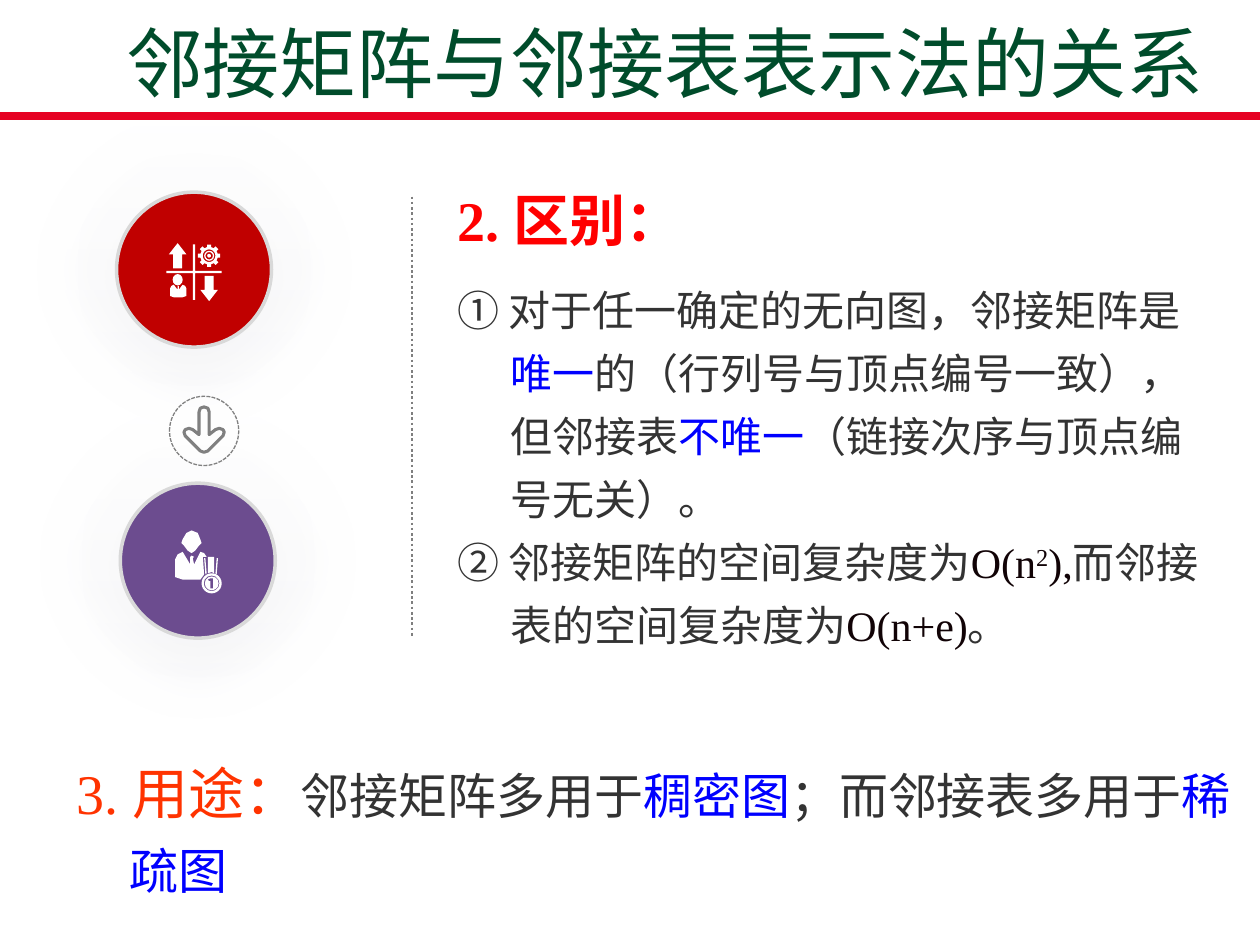
from math import cos, sin, radians
from lxml.etree import SubElement as Sub
from pptx import Presentation
from pptx.dml.color import RGBColor
from pptx.enum.dml import MSO_LINE as Dash
from pptx.enum.shapes import MSO_CONNECTOR as Conn, MSO_SHAPE as Geo
from pptx.enum.text import MSO_ANCHOR as Anchor, MSO_AUTO_SIZE as Fit, PP_ALIGN as Align
from pptx.oxml.ns import qn
from pptx.util import Inches, Pt


class Theme:
    font = "Times New Roman"
    green, red, orange = "004C2B", "FF0000", "FF3300"
    dark, blue, ink = "333333", "0000FF", "110306"
    rule, gray, dot = "E60223", "808080", "7F7F7F"
    crimson, purple = "C00000", "6C4C8F"
    white, pale, mist, rim = "FFFFFF", "F7F7F9", "E4E4E4", "D9D9D9"
    title, head, use, body = 44, 32, 28, 24


# Content: a paragraph is a list of runs (text, then what differs from the paragraph)
TITLE = [("邻接矩阵与邻接表表示法的关系", {})]
HEAD = [("2. 区别：", {})]
BLUE, INK = {"color": Theme.blue}, {"color": Theme.ink}
LIST = [
    [("① 对于任一确定的无向图，邻接矩阵是", {}), ("唯一", BLUE),
     ("的（行列号与顶点编号一致），但邻接表", {}), ("不唯一", BLUE),
     ("（链接次序与顶点编号无关）。", {})],
    [("② 邻接矩阵的空间复杂度为", {}), ("O(n", INK), ("2", {**INK, "base": 30000}),
     ("),", INK), ("而邻接表的空间复杂度为", {}), ("O(n+e)", INK), ("。", {})],
]
USE = [("3. 用途：", {"color": Theme.orange, "size": Theme.head}),
       ("邻接矩阵多用于", {}), ("稠密图", BLUE), ("；而邻接表多用于", {}), ("稀疏图", BLUE)]

# Icon outlines, in inches on the slide
SUIT = [(1.45, 2.26), (1.42, 2.3), (1.42, 2.27), (1.41, 2.27), (1.41, 2.3), (1.38, 2.26),
        (1.36, 2.27), (1.35, 2.29), (1.35, 2.35), (1.38, 2.36), (1.45, 2.36),
        (1.48, 2.35), (1.48, 2.29), (1.47, 2.27)]
COAT = [(1.62, 4.56), (1.61, 4.42), (1.64, 4.42), (1.62, 4.39), (1.59, 4.38), (1.54, 4.48),
        (1.53, 4.43), (1.54, 4.42), (1.52, 4.41), (1.51, 4.42), (1.51, 4.48), (1.45, 4.38),
        (1.41, 4.4), (1.39, 4.44), (1.39, 4.58), (1.45, 4.6), (1.52, 4.6), (1.59, 4.6)]
FACE = [(1.46, 4.33), (1.49, 4.37), (1.52, 4.39), (1.55, 4.37), (1.58, 4.33), (1.6, 4.31),
        (1.59, 4.28), (1.57, 4.23), (1.52, 4.21), (1.48, 4.23), (1.45, 4.28), (1.44, 4.31)]
BANDS = [[(1.62, 4.43), (1.63, 4.43), (1.64, 4.55), (1.63, 4.56)],
         [(1.65, 4.42), (1.7, 4.42), (1.7, 4.55), (1.68, 4.54), (1.65, 4.55)],
         [(1.72, 4.43), (1.73, 4.43), (1.72, 4.56), (1.71, 4.55)]]
ONE = [(1.69, 4.67), (1.67, 4.67), (1.67, 4.61), (1.66, 4.61), (1.65, 4.6),
       (1.67, 4.59), (1.69, 4.59)]
HALF = [(0, -.18), (.03, -.17), (.04, -.14), (.04, .04), (.09, 0), (.12, -.01),
        (.15, 0), (.16, .02), (.15, .05), (.03, .17), (0, .18)]


def rgb(code):
    return RGBColor.from_string(code)


def write(frame, paras, size, color, bold=False, hang=0, space=None):
    frame.word_wrap, frame.auto_size = True, Fit.NONE
    for i, runs in enumerate(paras):
        par = frame.paragraphs[0] if i == 0 else frame.add_paragraph()
        prop = par._p.get_or_add_pPr()
        prop.set("marL", str(Inches(hang)))
        prop.set("indent", str(-Inches(hang)))
        Sub(prop, qn("a:buNone"))
        par.alignment, par.space_before = Align.LEFT, Pt(0)
        if space:
            par.line_spacing = space
        par.font.name, par.font.bold = Theme.font, bold
        par.font.size, par.font.color.rgb = Pt(size), rgb(color)
        for text, look in runs:
            run = par.add_run()
            run.text = text
            if "color" in look:
                run.font.color.rgb = rgb(look["color"])
            if "size" in look:
                run.font.size = Pt(look["size"])
            if "base" in look:
                run._r.get_or_add_rPr().set("baseline", str(look["base"]))


def place(shape, *box):
    shape.left, shape.top, shape.width, shape.height = map(Inches, box)
    return shape.text_frame


def box(slide, *at):
    return slide.shapes.add_textbox(*map(Inches, at)).text_frame


def style(shape, fill=Theme.white, line=None, width=1):
    shape.shadow.inherit = False
    if fill:
        shape.fill.solid()
        shape.fill.fore_color.rgb = rgb(fill)
    else:
        shape.fill.background()
    if line:
        shape.line.color.rgb, shape.line.width = rgb(line), Pt(width)
    else:
        shape.line.fill.background()
    return shape


def preset(grp, geo, x, y, w, h, *adj, **look):
    shape = grp.shapes.add_shape(geo, *map(Inches, (x, y, w, h)))
    for i, val in enumerate(adj):
        shape.adjustments[i] = val
    return style(shape, **look)


def disc(grp, x, y, w, h=None, **look):
    h = h or w
    return preset(grp, Geo.OVAL, x - w / 2, y - h / 2, w, h, **look)


def ring(grp, x, y, size, part):
    preset(grp, Geo.DONUT, x - size / 2, y - size / 2, size, size, part)


def outline(grp, *loops, **look):
    loops = [[(Inches(x), Inches(y)) for x, y in loop] for loop in loops]
    pen = grp.shapes.build_freeform(*loops[0][0], scale=1.0)
    for i, loop in enumerate(loops):
        if i:
            pen.move_to(*loop[0])
        pen.add_line_segments(loop[1:], close=True)
    return style(pen.convert_to_shape(), **look)


def polar(x, y, rad, deg):
    return x + rad * cos(radians(deg)), y + rad * sin(radians(deg))


def badge(slide, x, y, color):
    grp = slide.shapes.add_group_shape()
    for size, end, soft in ((2.6, Theme.pale, .3), (2.15, Theme.mist, .45)):
        halo = disc(grp, x, y, size)
        halo.fill.gradient()
        halo.fill.gradient_angle = 270
        for stop, code in zip(halo.fill.gradient_stops, (Theme.white, end)):
            stop.color.rgb = rgb(code)
        fx = halo._element.spPr.find(qn("a:effectLst"))
        Sub(fx, qn("a:softEdge"), rad=str(Inches(soft)))
    disc(grp, x, y, 1.23, fill=color, line=Theme.rim, width=2)
    return grp


def rule(slide, x1, y1, x2, y2, color, width):
    line = slide.shapes.add_connector(Conn.STRAIGHT, *map(Inches, (x1, y1, x2, y2)))
    line.line.color.rgb, line.line.width = rgb(color), Pt(width)
    Sub(line._element.spPr, qn("a:effectLst"))
    return line


def main():
    deck = Presentation()
    deck.slide_width, deck.slide_height = Inches(10), Inches(7.5)
    slide = deck.slides.add_slide(deck.slide_layouts[1])

    # Title, list and rules
    rule(slide, 0, .92, 10, .92, Theme.rule, 4.5)
    frame = place(slide.shapes.title, .9, .21, 8.92, .56)
    frame.vertical_anchor = Anchor.MIDDLE
    write(frame, [TITLE], Theme.title, Theme.green)
    frame = place(slide.placeholders[1], 3.53, 2.11, 6.14, 3.13)
    write(frame, LIST, Theme.body, Theme.dark, hang=.42, space=1.25)
    rule(slide, 3.27, 1.56, 3.27, 5.06, Theme.dot, 1.5).line.dash_style = Dash.ROUND_DOT

    # Red badge: cross, arrows, gear and person
    grp = badge(slide, 1.54, 2.14, Theme.crimson)
    preset(grp, Geo.CROSS, 1.32, 1.94, .44, .44, .48)
    preset(grp, Geo.UP_ARROW, 1.34, 1.93, .14, .2, .5, .64)
    preset(grp, Geo.DOWN_ARROW, 1.59, 2.19, .14, .2, .5, .64)
    hub = 1.66, 2.03
    teeth = [polar(*hub, rad, mid + turn) for mid in range(0, 360, 45)
             for rad, turn in ((.07, -13), (.09, -10), (.09, 10), (.07, 13))]
    outline(grp, teeth, [polar(*hub, .05, -deg) for deg in range(0, 360, 15)])
    ring(grp, *hub, .08, .13)
    disc(grp, *hub, .03)
    disc(grp, 1.41, 2.22, .08, .09)
    outline(grp, SUIT)

    # Purple badge: person with medal
    grp = badge(slide, 1.57, 4.45, Theme.purple)
    for loop in (FACE, COAT, *BANDS):
        outline(grp, loop)
    ring(grp, 1.68, 4.63, .16, .11)
    disc(grp, 1.68, 4.63, .11)
    outline(grp, ONE, fill=Theme.purple)

    # Down arrow between the badges
    grp = slide.shapes.add_group_shape()
    loop = disc(grp, 1.62, 3.42, .55, fill=None, line=Theme.gray, width=.75)
    loop.line.dash_style = Dash.SQUARE_DOT
    sides = HALF + [(-x, y) for x, y in HALF[-2:0:-1]]
    outline(grp, [(1.62 + x, 3.41 + y) for x, y in sides],
            fill=None, line=Theme.gray, width=1.75)

    # Headings
    write(box(slide, 3.53, 1.42, 4.87, .64), [HEAD], Theme.head, Theme.red, bold=True)
    write(box(slide, .51, 5.84, 9.4, 1.36), [USE], Theme.use, Theme.dark,
          hang=.42, space=1.25)
    deck.save("out.pptx")


if __name__ == "__main__":
    main()
